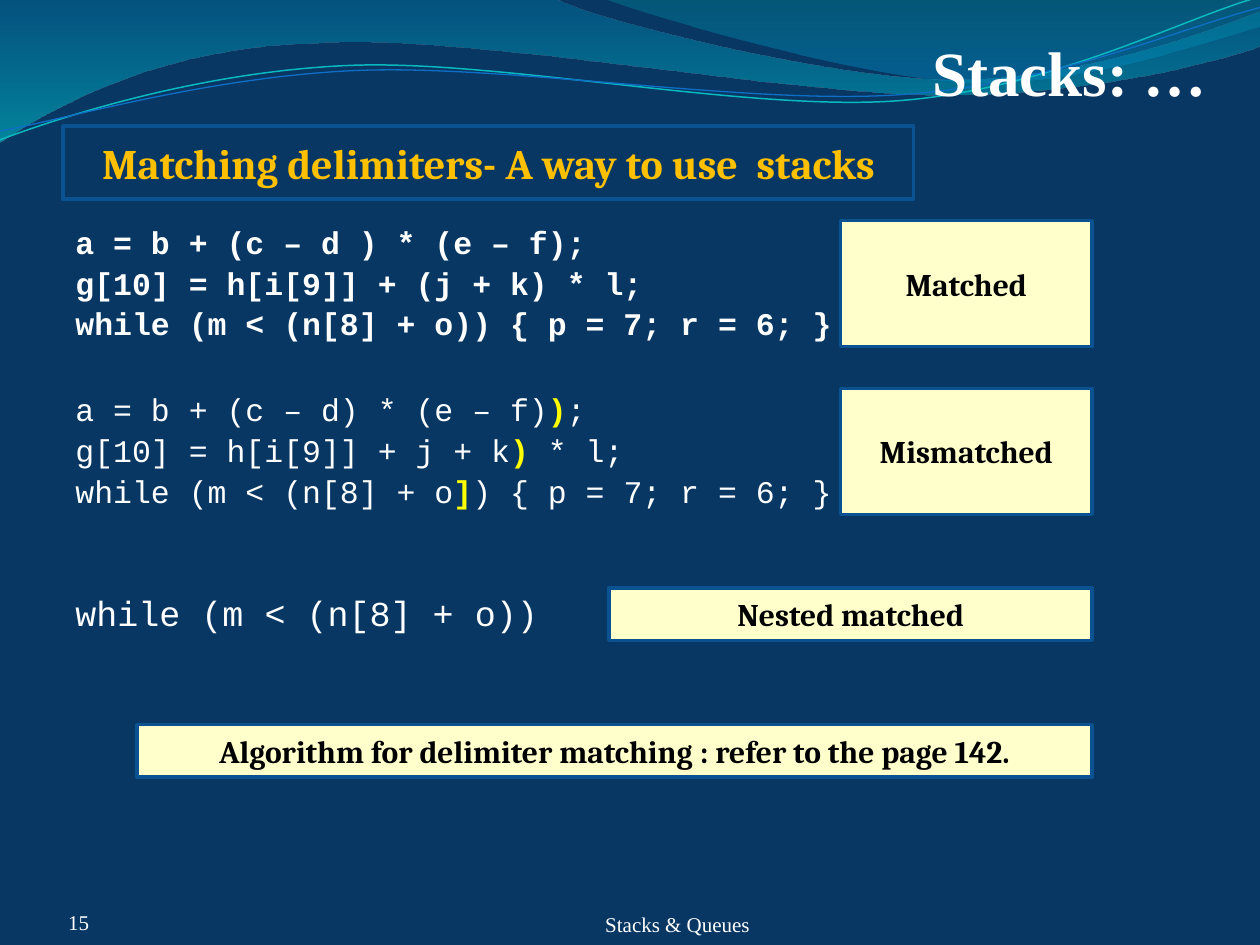
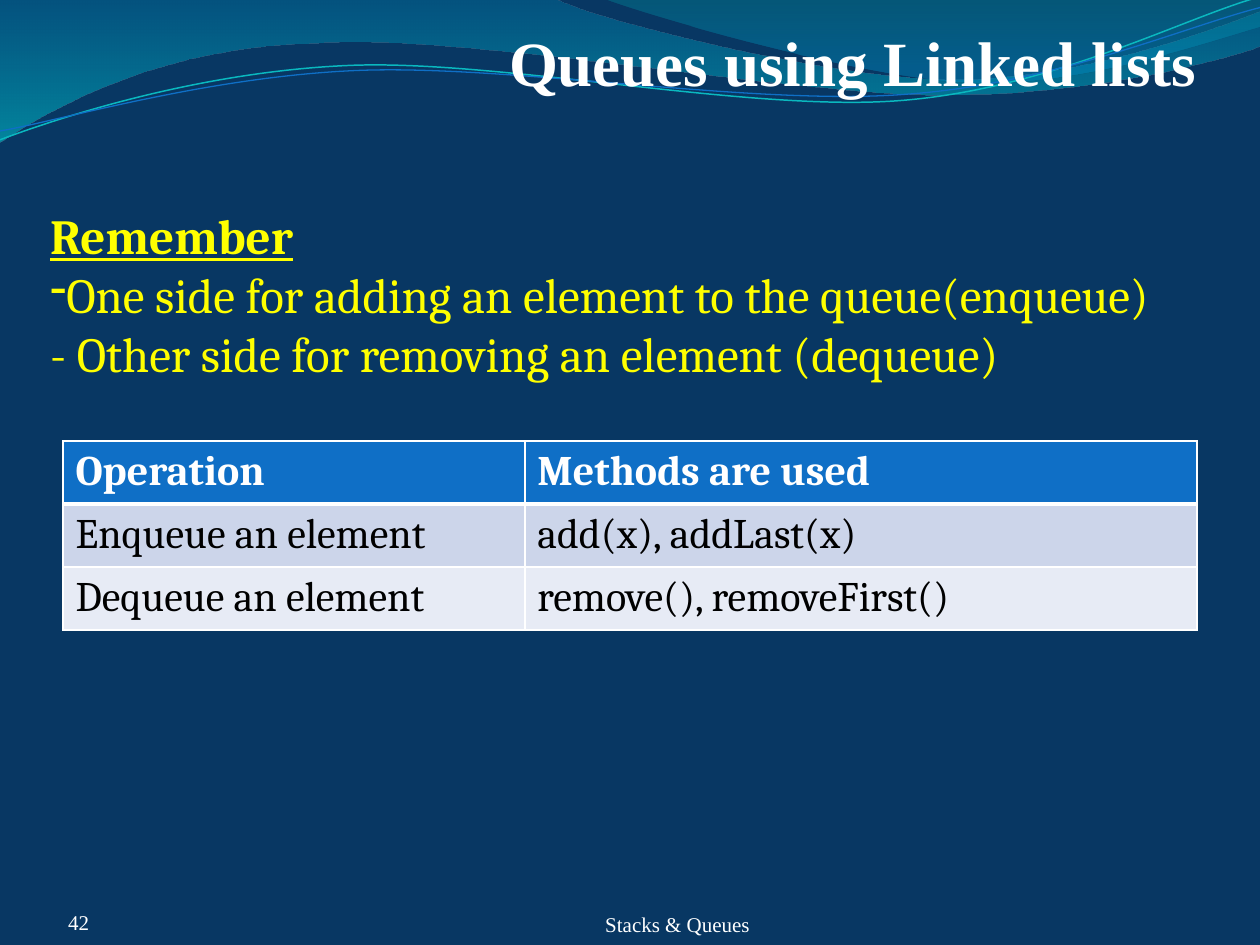
from lxml import etree
from pptx import Presentation
from pptx import util as u
from pptx.dml import color
from pptx.enum import shapes, text
from pptx.oxml import ns

# Shared palette and fonts
NAVY, WHITE, BLACK, YELLOW, GOLD = "083763", "FFFFFF", "000000", "FFFF00", "FFC000"
CREAM, FRAME, HEADER_BLUE = "FFFFCC", "0B5292", "0F6FC6"
ROW_FILLS = [HEADER_BLUE, "CCD5EA", "E7EBF5"]
SERIF, CODE, BODY = "Times New Roman", "Courier New", "Cambria"
CM_PER_INCH = 2.54

# Header waves in inches: a pair is a corner, six numbers are a Bezier curve
WIDE_WAVE = [(0, 0), (4.4, -.01), (4.76, .17, 6.64, .63, 7.58, .63),
             (8.53, .63, 9.58, .26, 10, .09), (10.01, .36),
             (9.83, .44, 8.7, .76, 7.46, .75), (6.22, .75, 3.82, .28, 2.57, .34),
             (1.29, .36, .46, .83, -.01, 1.13), (0, 0)]
RIGHT_WAVE = [(4.79, -.01), (5.09, .11, 6.82, .62, 7.69, .65),
              (8.56, .69, 9.61, .32, 10, .21), (10, 0), (4.79, -.01)]
TEAL_STRAND = [(0, 1.11), (.48, .93, 1.58, .57, 2.77, .52),
               (3.95, .47, 5.93, .89, 7.13, .8), (8.33, .71, 9.38, .15, 9.98, -.02)]
BLUE_STRAND = [(0, 1.04), (.47, .96, 1.64, .61, 2.83, .56),
               (4.03, .51, 5.97, .84, 7.17, .75), (8.36, .67, 9.41, .21, 10, .06)]


def rgb(hex_colour):
    return color.RGBColor.from_string(hex_colour)


def box_of(*lengths):
    return [u.Cm(length) for length in lengths]


def add_outline(slide, steps, close):
    """Freeform through the end points, with its curved steps made Bezier."""
    emu_steps = [[u.Cm(CM_PER_INCH * v) for v in step] for step in steps]
    builder = slide.shapes.build_freeform(*emu_steps[0], scale=1.0)
    builder.add_line_segments([step[-2:] for step in emu_steps[1:]], close=close)
    outline = builder.convert_to_shape()
    outline.shadow.inherit = False
    segments = list(outline._element.iter(ns.qn("a:lnTo")))
    for segment, step in zip(segments, emu_steps[1:]):
        if len(step) == 6:
            curve = etree.Element(ns.qn("a:cubicBezTo"))
            for x, y in zip(step[::2], step[1::2]):
                etree.SubElement(curve, ns.qn("a:pt"), x=str(x - builder.shape_offset_x),
                                 y=str(y - builder.shape_offset_y))
            segment.getparent().replace(segment, curve)
    return outline


def add_wave(slide, steps, stops):
    """Filled wave; stops are (position %, colour, opacity %), top to bottom."""
    wave = add_outline(slide, steps, True)
    wave.line.fill.background()
    wave.fill.gradient()
    gradient = wave._element.spPr.find(ns.qn("a:gradFill"))
    for child in list(gradient):
        gradient.remove(child)
    stop_list = etree.SubElement(gradient, ns.qn("a:gsLst"))
    for position, hex_colour, opacity in stops:
        stop = etree.SubElement(stop_list, ns.qn("a:gs"), pos=str(position * 1000))
        tint = etree.SubElement(stop, ns.qn("a:srgbClr"), val=hex_colour)
        etree.SubElement(tint, ns.qn("a:alpha"), val=str(opacity * 1000))
    etree.SubElement(gradient, ns.qn("a:lin"), ang="5400000", scaled="0")


def add_strand(slide, steps, hex_colour, width):
    strand = add_outline(slide, steps, False)
    strand.fill.background()
    strand.line.color.rgb = rgb(hex_colour)
    strand.line.width = u.Pt(width)


def add_run(paragraph, words, font, size, hex_colour, bold=False, underline=False):
    run = paragraph.add_run()
    run.text = words
    run.font.name = font
    run.font.size = u.Pt(size)
    run.font.color.rgb = rgb(hex_colour)
    run.font.bold = bold
    run.font.underline = underline


def add_text_box(slide, box, anchor=text.MSO_ANCHOR.TOP, insets=None):
    frame = slide.shapes.add_textbox(*box_of(*box)).text_frame
    frame.word_wrap = True
    frame.vertical_anchor = anchor
    if insets:
        (frame.margin_left, frame.margin_top,
         frame.margin_right, frame.margin_bottom) = box_of(*insets)
    return frame


def add_line_of_text(slide, box, words, size, align, bold=False, top=0):
    """Bottom-anchored white serif line, used for titles and footers."""
    frame = add_text_box(slide, box, text.MSO_ANCHOR.BOTTOM, (0, top, 0, 0))
    frame.paragraphs[0].alignment = align
    add_run(frame.paragraphs[0], words, SERIF, size, WHITE, bold)


def add_label(slide, box, words, size=18, ink=BLACK, fill=CREAM):
    label = slide.shapes.add_shape(shapes.MSO_SHAPE.RECTANGLE, *box_of(*box))
    label.shadow.inherit = False
    if fill:
        label.fill.solid()
        label.fill.fore_color.rgb = rgb(fill)
    else:
        label.fill.background()
    label.line.color.rgb = rgb(FRAME)
    label.line.width = u.Pt(2)
    frame = label.text_frame
    frame.word_wrap = True
    frame.vertical_anchor = text.MSO_ANCHOR.MIDDLE
    frame.paragraphs[0].alignment = text.PP_ALIGN.CENTER
    add_run(frame.paragraphs[0], words, BODY, size, ink, True)


def next_paragraph(frame, index):
    return frame.add_paragraph() if index else frame.paragraphs[0]


def add_code(slide, box, lines):
    """Each line is (space before, size, bold, pieces); odd pieces are errors."""
    frame = add_text_box(slide, box)
    for row, (before, size, bold, pieces) in enumerate(lines):
        paragraph = next_paragraph(frame, row)
        paragraph.line_spacing = 0.9
        paragraph.space_before = u.Pt(before)
        for i, piece in enumerate(pieces):
            wrong = i % 2 == 1
            add_run(paragraph, piece, CODE, size, YELLOW if wrong else WHITE, bold or wrong)


def set_borders(cell, bottom, top):
    properties = cell._tc.get_or_add_tcPr()
    for side, width in (("L", 1), ("R", 1), ("T", top), ("B", bottom)):
        line = etree.SubElement(properties, ns.qn("a:ln" + side), w=str(u.Pt(width)))
        fill = etree.SubElement(line, ns.qn("a:solidFill"))
        etree.SubElement(fill, ns.qn("a:srgbClr"), val=WHITE)


def add_methods_table(slide, box, widths, rows):
    table = slide.shapes.add_table(len(rows), len(widths), *box_of(*box)).table
    table.horz_banding = False
    for column, width in zip(table.columns, widths):
        column.width = u.Cm(width)
    for r, row in enumerate(rows):
        header = r == 0
        for c, words in enumerate(row):
            cell = table.cell(r, c)
            set_borders(cell, bottom=3 if header else 1, top=3 if r == 1 else 1)
            cell.fill.solid()
            cell.fill.fore_color.rgb = rgb(ROW_FILLS[r])
            add_run(cell.text_frame.paragraphs[0], words, BODY, 24,
                    WHITE if header else BLACK, header)


def add_base_slide(deck, title, title_left, title_top, number):
    """Background, waves, title and footer that every slide shares."""
    slide = deck.slides.add_slide(deck.slide_layouts[6])
    slide.background.fill.solid()
    slide.background.fill.fore_color.rgb = rgb(NAVY)
    add_wave(slide, WIDE_WAVE, [(0, "0074A1", 45), (100, "00C6CF", 55)])
    add_wave(slide, RIGHT_WAVE, [(0, "00A1A9", 30), (80, "008BBF", 45)])
    add_strand(slide, TEAL_STRAND, "0AB8BF", 0.85)
    add_strand(slide, BLUE_STRAND, HEADER_BLUE, 0.75)
    align = text.PP_ALIGN
    add_line_of_text(slide, (title_left, title_top, 22.86, 1.78), title, 36,
                     align.RIGHT, True, 0.13)
    add_line_of_text(slide, (1.27, 18.21, 2.54, 0.64), f" {number}", 12, align.LEFT)
    add_line_of_text(slide, (7.41, 18.2, 12.5, 0.68), "Stacks & Queues", 12, align.CENTER)
    return slide


def build_delimiters(deck):
    slide = add_base_slide(deck, "Stacks: …", 1.47, 0.43, 15)
    add_code(slide, (1.27, 4.45, 16.51, 12.57), [
        (3.9, 18, True, ["a = b + (c – d ) * (e – f);"]),
        (3.9, 18, True, ["g[10] = h[i[9]] + (j + k) * l;"]),
        (3.9, 18, True, ["while (m < (n[8] + o)) { p = 7; r = 6; }"]),
        (29.7, 18, False, ["a = b + (c – d) * (e – f)", ")", ";"]),
        (3.9, 18, False, ["g[10] = h[i[9]] + j + k", ")", " * l;"]),
        (3.9, 18, False, ["while (m < (n[8] + o", "]", ") { p = 7; r = 6; }"]),
        (49, 20, False, ["while (m < (n[8] + o))"]),
    ])
    add_label(slide, (1.27, 2.54, 17.15, 1.47),
              "Matching delimiters- A way to use  stacks", 24, GOLD, None)
    # Labels share one right edge
    right_edge = 22.02
    for top, width, height, words in [
            (4.45, 5.08, 2.54, "Matched"),
            (7.83, 5.08, 2.54, "Mismatched"),
            (11.85, 9.74, 1.06, "Nested matched"),
            (14.61, 19.26, 1.06, "Algorithm for delimiter matching : refer to the page 142.")]:
        add_label(slide, (right_edge - width, top, width, height), words)


def build_linked_queues(deck):
    slide = add_base_slide(deck, "Queues using Linked lists", 1.27, 0.21, 42)
    reminder = add_text_box(slide, (0.76, 4.02, 25.02, 3.84))
    reminder.word_wrap = False
    for i, words in enumerate(["Remember",
                               "One side for adding an element to the queue(enqueue)",
                               "- Other side for removing an element (dequeue)"]):
        paragraph = next_paragraph(reminder, i)
        add_run(paragraph, words, BODY, 28, YELLOW, i == 0, i == 0)
    # The first rule carries a dash bullet in the text's own font
    properties = reminder.paragraphs[1]._p.get_or_add_pPr()
    etree.SubElement(properties, ns.qn("a:buFontTx"))
    etree.SubElement(properties, ns.qn("a:buChar"), char="-")
    add_methods_table(slide, (1.27, 8.89, 22.86, 3.81), (9.31, 13.55), [
        ("Operation", "Methods are used"),
        ("Enqueue an element", "add(x), addLast(x)"),
        ("Dequeue an element", "remove(), removeFirst()")])


def main():
    deck = Presentation()
    deck.slide_width, deck.slide_height = box_of(25.4, 19.05)
    build_delimiters(deck)
    build_linked_queues(deck)
    deck.save("out.pptx")


if __name__ == "__main__":
    main()
